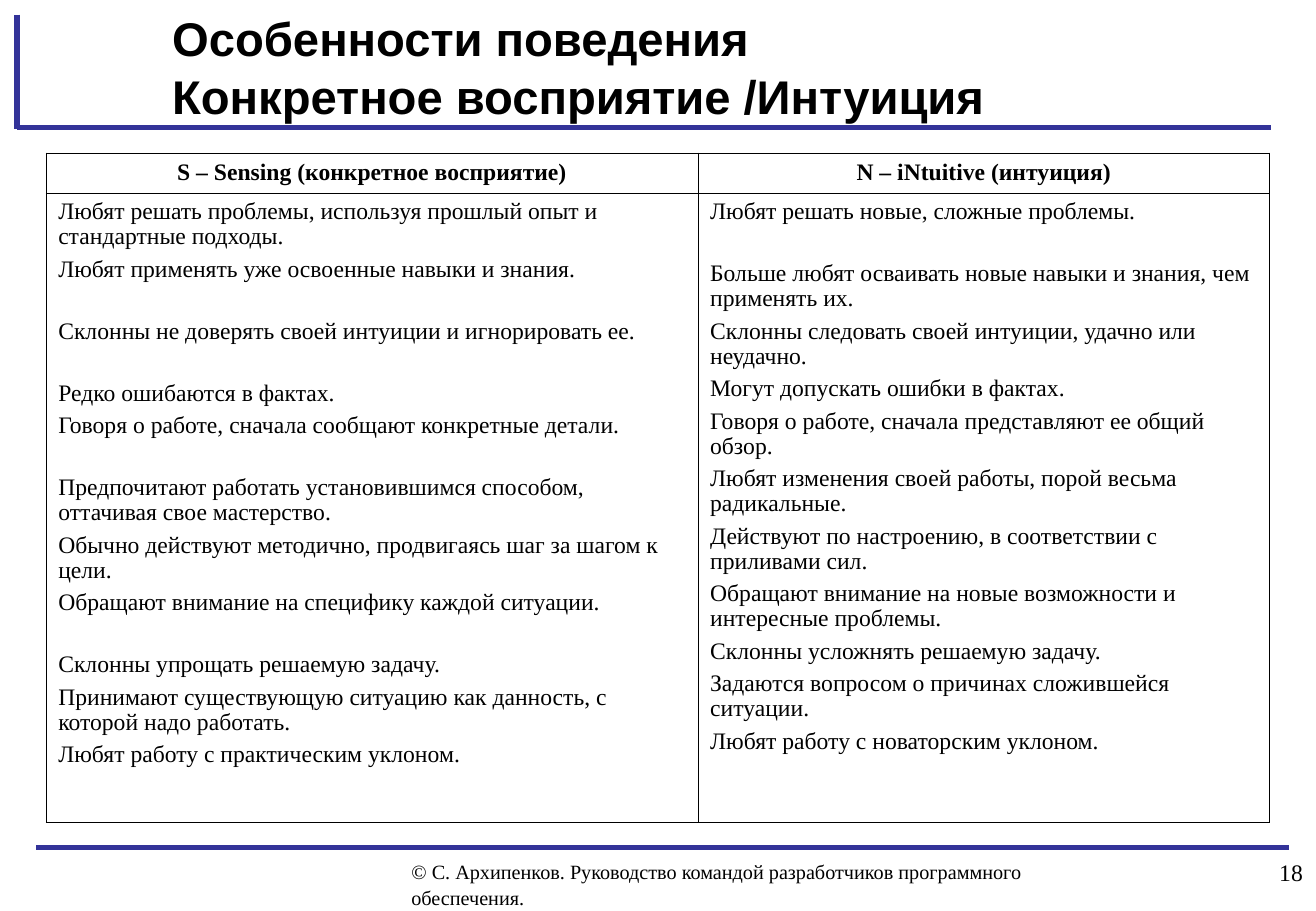
import lxml.etree
import pptx
import pptx.dml.color
import pptx.enum.shapes
import pptx.enum.text
import pptx.oxml
import pptx.oxml.ns
import pptx.util

theme = {
    "ink": "000000", "rule": "333399",
    "serif": "Times New Roman", "sans": "Arial",
    "title": 28, "body": 14, "foot": 12,
    "thick": 3, "thin": 0.45, "near": 4.4, "wide": 21.9,
}
unit = pptx.util.Inches(0.01)
cols, rows = 1084, 750
align = pptx.enum.text.PP_ALIGN
anchor = pptx.enum.text.MSO_ANCHOR

deck = pptx.Presentation()
deck.slide_width = cols * unit
deck.slide_height = rows * unit
slide = deck.slides.add_slide(deck.slide_layouts[6])


def write(para, text, size, face="serif", bold=False, side=align.LEFT, lead=1.0):
    para.text = text
    para.alignment = side
    para.line_spacing = lead
    para.font.size = pptx.util.Pt(theme[size])
    para.font.name = theme[face]
    para.font.bold = bold
    para.font.color.rgb = pptx.dml.color.RGBColor.from_string(theme["ink"])


def place(left, top, width, height, seat=anchor.TOP):
    frame = slide.shapes.add_textbox(
        left * unit, top * unit, width * unit, height * unit).text_frame
    frame.word_wrap = True
    frame.vertical_anchor = seat
    return frame.paragraphs[0]


for ends in [(30, 698, 1062, 698), (14, 105, 1047, 105), (14, 12, 14, 106)]:
    rule = slide.shapes.add_connector(
        pptx.enum.shapes.MSO_CONNECTOR.STRAIGHT, *[n * unit for n in ends])
    rule.line.color.rgb = pptx.dml.color.RGBColor.from_string(theme["rule"])
    rule.line.width = pptx.util.Pt(theme["thick"])
    lxml.etree.SubElement(rule._element.spPr, pptx.oxml.ns.qn("a:effectLst"))

write(place(329, 701, 572, 49),
      "© С. Архипенков. Руководство командой разработчиков программного обеспечения.",
      "foot", lead=1.07)
write(place(951, 701, 132, 49), "18", "body", side=align.RIGHT)
write(place(132, 12, 899, 84, anchor.MIDDLE),
      "Особенности поведения\vКонкретное восприятие /Интуиция",
      "title", "sans", True, lead=1.03)

heads = ["S – Sensing (конкретное восприятие)", "N – iNtuitive (интуиция)"]
traits = [
    [
        "Любят решать проблемы, используя прошлый опыт и стандартные подходы.",
        "Любят применять уже освоенные навыки и знания.",
        "Склонны не доверять своей интуиции и игнорировать ее.",
        "Редко ошибаются в фактах.",
        "Говоря о работе, сначала сообщают конкретные детали.",
        "Предпочитают работать установившимся способом, оттачивая свое мастерство.",
        "Обычно действуют методично, продвигаясь шаг за шагом к цели.",
        "Обращают внимание на специфику каждой ситуации.",
        "Склонны упрощать решаемую задачу.",
        "Принимают существующую ситуацию как данность, с которой надо работать.",
        "Любят работу с практическим уклоном.",
    ],
    [
        "Любят решать новые, сложные проблемы.",
        "Больше любят осваивать новые навыки и знания, чем применять их.",
        "Склонны следовать своей интуиции, удачно или неудачно.",
        "Могут допускать ошибки в фактах.",
        "Говоря о работе, сначала представляют ее общий обзор.",
        "Любят изменения своей работы, порой весьма радикальные.",
        "Действуют по настроению, в соответствии с приливами сил.",
        "Обращают внимание на новые возможности и интересные проблемы.",
        "Склонны усложнять решаемую задачу.",
        "Задаются вопросом о причинах сложившейся ситуации.",
        "Любят работу с новаторским уклоном.",
    ],
]
gaps = [{1, 2, 4, 7}, {0}]
widths, heights = [537, 471], [33, 518]

table = slide.shapes.add_table(
    2, 2, 38 * unit, 126 * unit, sum(widths) * unit, sum(heights) * unit).table
table.first_row = False
table.horz_banding = False
for row, height in zip(table.rows, heights):
    row.height = height * unit

for col, head in enumerate(heads):
    table.columns[col].width = widths[col] * unit
    write(table.cell(0, col).text_frame.paragraphs[0], head, "body",
          bold=True, side=align.CENTER)
    frame = table.cell(1, col).text_frame
    for num, trait in enumerate(traits[col]):
        para = frame.add_paragraph() if num else frame.paragraphs[0]
        write(para, trait, "body", lead=0.96)
        para.space_after = pptx.util.Pt(theme["wide" if num in gaps[col] else "near"])

for cell in table.iter_cells():
    cell.fill.background()
    for spot, side in enumerate("LRTB"):
        edge = pptx.oxml.parse_xml(
            f'<a:ln{side} {pptx.oxml.ns.nsdecls("a")} w="{pptx.util.Pt(theme["thin"])}">'
            f'<a:solidFill><a:srgbClr val="{theme["ink"]}"/></a:solidFill></a:ln{side}>')
        cell._tc.get_or_add_tcPr().insert(spot, edge)

deck.save("out.pptx")
